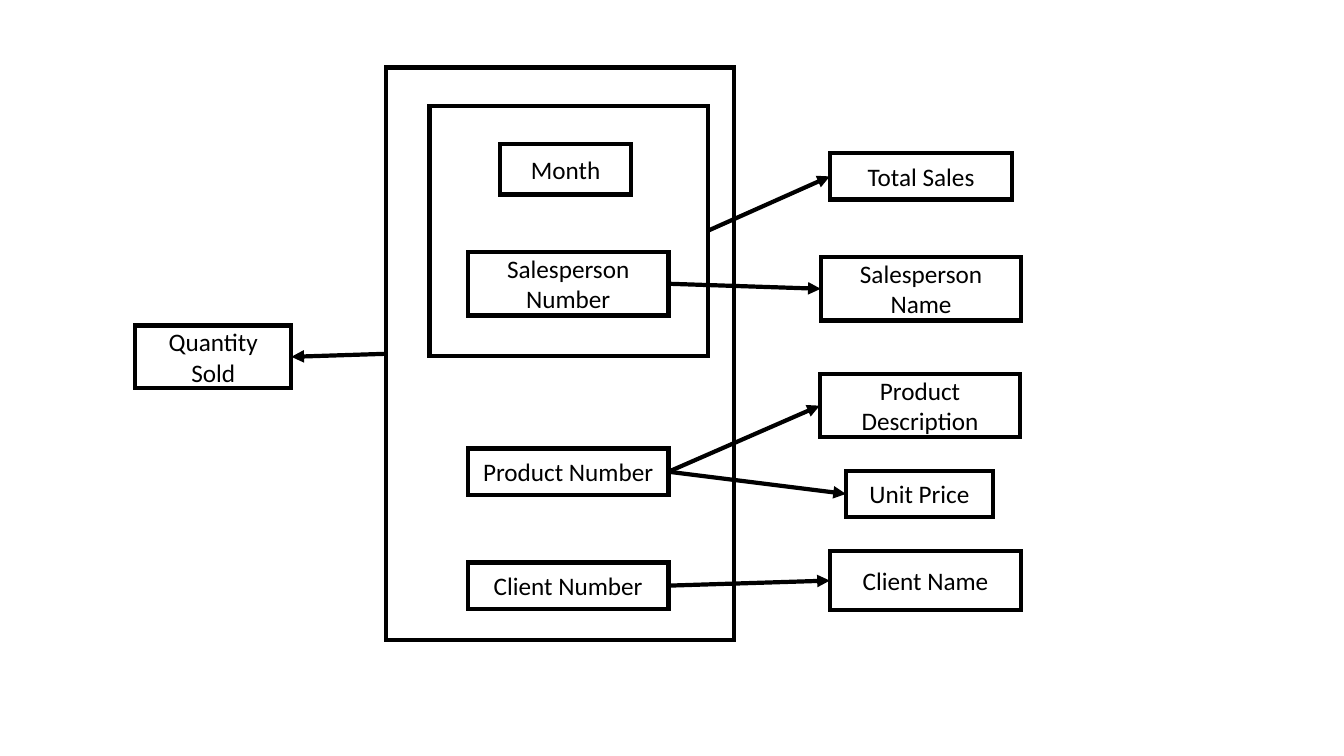
from lxml import etree
from pptx import Presentation
from pptx.dml.color import RGBColor
from pptx.enum.shapes import MSO_CONNECTOR, MSO_SHAPE
from pptx.enum.text import MSO_ANCHOR, PP_ALIGN
from pptx.oxml.ns import qn
from pptx.util import Inches, Pt

RECT = MSO_SHAPE.RECTANGLE
STRAIGHT = MSO_CONNECTOR.STRAIGHT
MIDDLE = MSO_ANCHOR.MIDDLE
CENTER = PP_ALIGN.CENTER
BLACK = RGBColor(0, 0, 0)
LINE_WIDTH = Pt(3)
LEFT, RIGHT = 1, 3

FRAMES = {
    "outer": (3.83, 0.67, 3.45, 5.68),
    "inner": (4.26, 1.05, 2.76, 2.48),
}
FIELDS = {
    "Month": (4.96, 1.43, 1.3, 0.5),
    "Salesperson Number": (4.64, 2.5, 1.99, 0.63),
    "Product Number": (4.64, 4.45, 1.99, 0.46),
    "Client Number": (4.64, 5.58, 1.99, 0.46),
    "Quantity Sold": (1.34, 3.23, 1.55, 0.62),
    "Total Sales": (8.23, 1.52, 1.81, 0.46),
    "Salesperson Name": (8.14, 2.55, 1.99, 0.63),
    "Product Description": (8.13, 3.71, 1.99, 0.63),
    "Unit Price": (8.39, 4.67, 1.46, 0.46),
    "Client Name": (8.23, 5.47, 1.9, 0.58),
}
ARROWS = [
    ("outer", LEFT, "Quantity Sold", RIGHT),
    ("inner", RIGHT, "Total Sales", LEFT),
    ("Salesperson Number", RIGHT, "Salesperson Name", LEFT),
    ("Product Number", RIGHT, "Product Description", LEFT),
    ("Product Number", RIGHT, "Unit Price", LEFT),
    ("Client Number", RIGHT, "Client Name", LEFT),
]


def set_line(shape):
    shape.line.color.rgb = BLACK
    shape.line.width = LINE_WIDTH
    ln = shape._element.spPr.find(qn("a:ln"))
    etree.SubElement(ln, qn("a:miter"), lim="800000")
    return ln


def add_box(s, place):
    sp = s.shapes.add_shape(RECT, *[Inches(v) for v in place])
    sp.shadow.inherit = False
    sp.fill.background()
    set_line(sp)
    return sp


def add_label(sp, text):
    tf = sp.text_frame
    tf.word_wrap = True
    tf.vertical_anchor = MIDDLE
    tf.text = text
    p = tf.paragraphs[0]
    p.alignment = CENTER
    font = p.runs[0].font
    font.name = "Calibri"
    font.size = Pt(18)
    font.color.rgb = BLACK


def add_arrow(s, start, start_side, end, end_side):
    c = s.shapes.add_connector(STRAIGHT, 0, 0, 0, 0)
    c.begin_connect(start, start_side)
    c.end_connect(end, end_side)
    ln = set_line(c)
    etree.SubElement(ln, qn("a:tailEnd"), type="triangle")
    etree.SubElement(c._element.spPr, qn("a:effectLst"))


def main():
    prs = Presentation()
    prs.slide_width, prs.slide_height = Inches(13.33), Inches(7.5)
    s = prs.slides.add_slide(prs.slide_layouts[6])

    boxes = {key: add_box(s, place)
             for key, place in (FRAMES | FIELDS).items()}
    for text in FIELDS:
        add_label(boxes[text], text)
    for start, start_side, end, end_side in ARROWS:
        add_arrow(s, boxes[start], start_side, boxes[end], end_side)

    prs.save("out.pptx")


if __name__ == "__main__":
    main()
